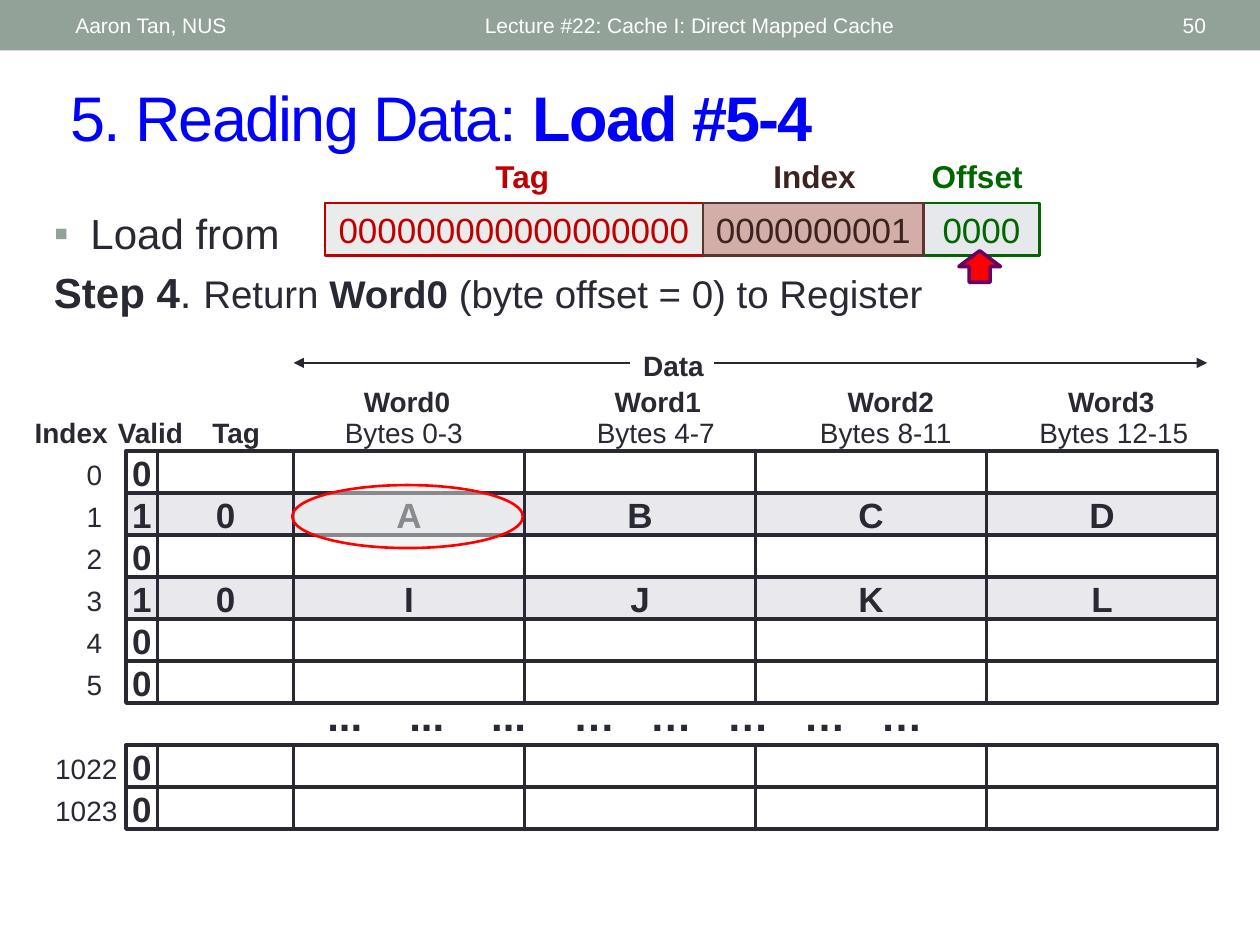
"""Build the slide on returning a word from a direct mapped cache."""
from lxml.etree import SubElement
from pptx import Presentation
from pptx.dml.color import RGBColor
from pptx.enum.shapes import MSO_CONNECTOR, MSO_SHAPE
from pptx.enum.text import MSO_ANCHOR as ANCHOR, PP_ALIGN as ALIGN
from pptx.oxml.ns import qn
from pptx.util import Inches, Pt

INK, WHITE, SHADE, SAGE = "292934", "FFFFFF", "E8E8ED", "93A299"
RED, GREEN, BROWN = "C00000", "006600", "3C231F"

HEADER = [
    ("Aaron Tan, NUS", 0.5, 3.17, ALIGN.LEFT),
    ("Lecture #22: Cache I: Direct Mapped Cache", 3.75, 4.5, ALIGN.LEFT),
    ("50", 8.72, 0.95, ALIGN.RIGHT),
]
TITLE = [("5. Reading Data: ", {}), ("Load #5-4", {"bold": True})]
STEP = [
    ("Step 4", {"bold": True, "size": 24}),
    (". ", {"size": 24}),
    ("Return ", {}),
    ("Word0", {"bold": True}),
    (" (byte offset = 0) to Register", {}),
]
ADDRESS_FIELDS = [
    ("Tag", 3.75, 0.79, "000000000000000000", 2.58, 3, "E9ECEB", RED, RED),
    ("Offset", 7.17, 1.17, "0000", 7.33, 0.92, "E6E8EC", GREEN, GREEN),
    ("Index", 5.92, 1.09, "0000000001", 5.58, 1.75, "D3AEA8", BROWN, "5B352E"),
]
CACHE_ROWS = {
    "0": ["0"],
    "1": ["1", "0", "A", "B", "C", "D"],
    "2": ["0"],
    "3": ["1", "0", "I", "J", "K", "L"],
    "4": ["0"],
    "5": ["0"],
    "…": [],
    "1022": ["0"],
    "1023": ["0"],
}
COLUMN_EDGES = [1, 1.25] + [2.33 + 11 / 6 * step for step in range(5)]
ROW_TOP, ROW_HEIGHT = 3.58, 1 / 3
LABELS = [
    ("Index", 0.17, 3.25, 0.79, True),
    ("Valid", 0.83, 3.25, 0.73, True),
    ("Tag", 1.58, 3.25, 0.59, True),
    ("Data", 5, 2.72, 0.69, True),
    ("Word0", 2.78, 3, 0.9, True),
    ("Word1", 4.77, 3, 0.9, True),
    ("Word2", 6.62, 3, 0.9, True),
    ("Word3", 8.37, 3, 0.9, True),
    ("Bytes 0-3", 2.63, 3.25, 1.15, False),
    ("Bytes 4-7", 4.63, 3.25, 1.15, False),
    ("Bytes 8-11", 6.4, 3.25, 1.26, False),
    ("Bytes 12-15", 8.14, 3.25, 1.4, False),
]
ELLIPSES = ["..."] * 3 + ["…"] * 5
ELLIPSIS_TABS = [0.65 * n for n in (1, 2, 3)] + [1.95 + 0.61 * n for n in (1, 2, 3, 4)]
DATA_ARROWS = [(5, 2.33), (5.67, 9.58)]


def color(value):
    return RGBColor.from_string(value)


def write(paragraph, runs, size, ink=INK, bold=False, align=ALIGN.LEFT):
    paragraph.alignment = align
    for text, changes in runs:
        run = paragraph.add_run()
        run.text = text
        values = {"size": size, "bold": bold, "name": "Arial"} | changes
        values["size"] = Pt(values["size"])
        for name, value in values.items():
            setattr(run.font, name, value)
        run.font.color.rgb = color(ink)


def add_text(slide, box, text, size, wrap=True, anchor=ANCHOR.TOP, **style):
    shape = slide.shapes.add_textbox(*map(Inches, box))
    frame = shape.text_frame
    frame.word_wrap, frame.vertical_anchor = wrap, anchor
    runs = [(text, {})] if isinstance(text, str) else text
    write(frame.paragraphs[0], runs, size, **style)
    return frame


def add_box(slide, kind, box, fill=None, line=None, width=1.5):
    shape = slide.shapes.add_shape(kind, *map(Inches, box))
    shape.shadow.inherit = False
    if fill:
        shape.fill.solid()
        shape.fill.fore_color.rgb = color(fill)
    else:
        shape.fill.background()
    if line:
        shape.line.color.rgb = color(line)
        shape.line.width = Pt(width)
    else:
        shape.line.fill.background()
    return shape


def fill_box(shape, text, wrap=True, **style):
    frame = shape.text_frame
    frame.word_wrap, frame.vertical_anchor = wrap, ANCHOR.MIDDLE
    write(frame.paragraphs[0], [(text, {})], 20, align=ALIGN.CENTER, **style)


def add_bullet(paragraph):
    properties = paragraph._p.get_or_add_pPr()
    properties.set("marL", str(Inches(0.29)))
    properties.set("indent", str(Inches(-0.29)))
    SubElement(SubElement(properties, qn("a:buClr")), qn("a:srgbClr"), val=SAGE)
    SubElement(properties, qn("a:buFont"), typeface="Arial")
    SubElement(properties, qn("a:buChar"), char="▪")


def add_heading(slide):
    add_box(slide, MSO_SHAPE.RECTANGLE, (0, 0, 10, 0.4), SAGE)
    for text, left, width, align in HEADER:
        add_text(slide, (left, 0.02, width, 0.36), text, 12,
                 anchor=ANCHOR.MIDDLE, ink=WHITE, align=align)
    title = add_text(slide, (0.46, 0.57, 9.21, 0.7), TITLE, 36,
                     anchor=ANCHOR.MIDDLE, ink="0000FF")
    for run in title.paragraphs[0].runs:
        run.font._element.set("spc", "-100")


def add_body(slide):
    body = add_text(slide, (0.33, 1.6, 9.34, 1.05), "Load from", 24)
    add_bullet(body.paragraphs[0])
    step = body.add_paragraph()
    step.space_before = Pt(4.8)
    write(step, STEP, 22)


def add_address(slide):
    for label, label_left, label_width, bits, left, width, fill, ink, line in ADDRESS_FIELDS:
        shape = add_box(slide, MSO_SHAPE.RECTANGLE, (left, 1.61, width, 0.42), fill, line)
        fill_box(shape, bits, ink=ink)
        add_text(slide, (label_left, 1.2, label_width, 0.4), label, 18,
                 ink=ink, bold=True, align=ALIGN.CENTER)


def add_label(slide, text, left, top, width, bold=False):
    add_text(slide, (left, top, width, 0.37), text, 16, wrap=False,
             bold=bold, align=ALIGN.CENTER)


def add_cache(slide):
    for row, (index, values) in enumerate(CACHE_ROWS.items()):
        if not values:
            continue
        top = ROW_TOP + row * ROW_HEIGHT
        fill = SHADE if len(values) > 1 else None
        cells = values + [""] * (len(COLUMN_EDGES) - 1 - len(values))
        for text, left, right in zip(cells, COLUMN_EDGES, COLUMN_EDGES[1:]):
            box = (left, top, right - left, ROW_HEIGHT)
            cell = add_box(slide, MSO_SHAPE.RECTANGLE, box, fill, INK, 2)
            if text:
                fill_box(cell, text, wrap=False, bold=True)
        left, width = (0.58, 0.34) if len(index) == 1 else (0.33, 0.71)
        add_label(slide, index, left, top, width)
    gap = add_text(slide, (2.5, 5.42, 5.5, 0.81), "\t".join(ELLIPSES), 24, bold=True)
    tabs = SubElement(gap.paragraphs[0]._p.get_or_add_pPr(), qn("a:tabLst"))
    for position in ELLIPSIS_TABS:
        SubElement(tabs, qn("a:tab"), pos=str(Inches(position)), algn="l")


def add_labels(slide):
    for label in LABELS:
        add_label(slide, *label)
    for start, end in DATA_ARROWS:
        points = map(Inches, (start, 2.88, end, 2.88))
        arrow = slide.shapes.add_connector(MSO_CONNECTOR.STRAIGHT, *points)
        arrow.line.color.rgb = color(INK)
        arrow.line.width = Pt(0.75)
        SubElement(arrow.line._get_or_add_ln(), qn("a:tailEnd"), type="triangle")
        SubElement(arrow._element.spPr, qn("a:effectLst"))


def add_highlights(slide):
    ring = add_box(slide, MSO_SHAPE.OVAL, (2.32, 3.85, 1.83, 0.5), "E9ECEB", "FF0000")
    tint = ring._element.spPr.find(qn("a:solidFill")).find(qn("a:srgbClr"))
    SubElement(tint, qn("a:alpha"), val="50000")
    pointer = add_box(slide, MSO_SHAPE.LEFT_ARROW, (7.65, 1.95, 0.25, 0.33),
                      "FF0000", "660066", 2.08)
    pointer.rotation = 90


def main():
    presentation = Presentation()
    presentation.slide_width, presentation.slide_height = Inches(10), Inches(7.5)
    slide = presentation.slides.add_slide(presentation.slide_layouts[6])
    for add_part in (add_heading, add_body, add_address, add_cache, add_labels, add_highlights):
        add_part(slide)
    presentation.save("out.pptx")


if __name__ == "__main__":
    main()
